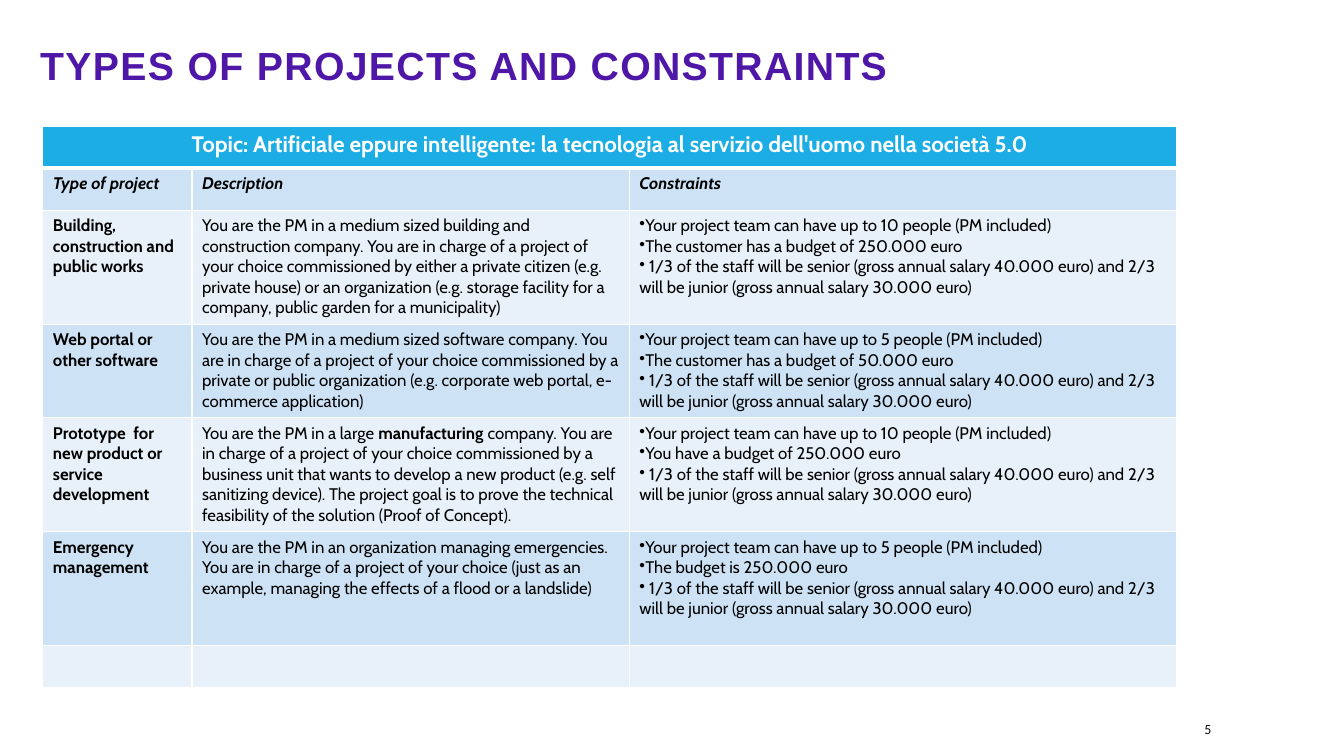
from lxml import etree
from pptx import Presentation
from pptx.dml.color import RGBColor
from pptx.enum.text import MSO_ANCHOR, PP_ALIGN
from pptx.oxml.ns import qn
from pptx.util import Cm, Pt

MIDDLE = MSO_ANCHOR.MIDDLE
LEFT, CENTER = PP_ALIGN.LEFT, PP_ALIGN.CENTER

PURPLE, BLUE, MID_BLUE, PALE_BLUE = "4F17A8", "1CADE4", "CDE3F5", "E8F1FA"
WHITE, BLACK, DARK = "FFFFFF", "000000", "0D0D0D"

COLUMN_WIDTHS = [3.76, 11.02, 13.8]
ROW_HEIGHTS = [1.06, 1.06, 2.87, 2.36, 2.87, 2.87, 1.06]

TOPIC = "Topic: Artificiale eppure intelligente: la tecnologia al servizio dell'uomo nella società 5.0"
HEADINGS = ["Type of project", "Description", "Constraints"]
STAFF = (" 1/3 of the staff will be senior (gross annual salary 40.000 euro) "
         "and 2/3 will be junior (gross annual salary 30.000 euro)")

PROJECTS = [
    ("Building, construction and public works",
     ["You are the PM in a medium sized building and construction company. You are in charge of "
      "a project of your choice commissioned by either a private citizen (e.g. private house) or "
      "an organization (e.g. storage facility for a company, public garden for a municipality)"],
     10, "The customer has a budget of 250.000 euro"),
    ("Web portal or other software",
     ["You are the PM in a medium sized software company. You are in charge of a project of your "
      "choice commissioned by a private or public organization (e.g. corporate web portal, "
      "e-commerce application)"],
     5, "The customer has a budget of 50.000 euro"),
    ("Prototype  for new product or service development",
     ["You are the PM in a large ", "manufacturing ",
      "company. You are in charge of a project of your choice commissioned by a business unit "
      "that wants to develop a new product (e.g. self sanitizing device). The project goal is to "
      "prove the technical feasibility of the solution (Proof of Concept)."],
     10, "You have a budget of 250.000 euro"),
    ("Emergency management",
     ["You are the PM in an organization managing emergencies. You are in charge of a project of "
      "your choice (just as an example, managing the effects of a flood or a landslide)"],
     5, "The budget is 250.000 euro"),
]


def rgb(hex_color):
    return RGBColor.from_string(hex_color)


def add_run(p, text, size=12, font="Cabin", color=BLACK, bold=False, italic=False, spacing=None):
    r = p.add_run()
    r.text = text
    r.font.size = Pt(size)
    r.font.name = font
    r.font.color.rgb = rgb(color)
    r.font.bold = bold
    r.font.italic = italic
    if spacing:
        r.font._element.set("spc", str(spacing * 100))


def write(tf, text, align=LEFT, **style):
    p = tf.paragraphs[0]
    p.alignment = align
    add_run(p, text, **style)
    return p


def write_description(tf, parts):
    for i, part in enumerate(parts):
        add_run(tf.paragraphs[0], part, bold=i % 2 == 1)


def write_bullets(tf, lines):
    for i, line in enumerate(lines):
        p = tf.add_paragraph() if i else tf.paragraphs[0]
        etree.SubElement(p._p.get_or_add_pPr(), qn("a:buChar"), char="•")
        add_run(p, line)


def style_cell(cell, fill, **wide_sides):
    tc_pr = cell._tc.get_or_add_tcPr()
    for side in "LRTB":
        width = wide_sides.get(side, 1)
        ln = etree.SubElement(tc_pr, qn("a:ln" + side), w=str(Pt(width)))
        solid = etree.SubElement(ln, qn("a:solidFill"))
        etree.SubElement(solid, qn("a:srgbClr"), val=WHITE)
    cell.fill.solid()
    cell.fill.fore_color.rgb = rgb(fill)


def add_title(s, text):
    title = s.shapes.title
    title.left, title.top, title.width, title.height = Cm(0.76), Cm(1.12), Cm(30.4), Cm(1.24)
    tf = title.text_frame
    tf.word_wrap = True
    tf.vertical_anchor = MIDDLE
    p = write(tf, text, size=28, font="Arial", color=PURPLE, bold=True, spacing=1)
    p.line_spacing = 0.8


def add_projects_table(s):
    frame = s.shapes.add_table(len(ROW_HEIGHTS), len(COLUMN_WIDTHS), Cm(1.08), Cm(3.18),
                               Cm(sum(COLUMN_WIDTHS)), Cm(sum(ROW_HEIGHTS)))
    table = frame.table
    for column, width in zip(table.columns, COLUMN_WIDTHS):
        column.width = Cm(width)
    for i, (row, height) in enumerate(zip(table.rows, ROW_HEIGHTS)):
        row.height = Cm(height)
        fill = BLUE if i == 0 else MID_BLUE if i % 2 else PALE_BLUE
        wide_sides = {0: {"B": 3}, 1: {"T": 3}}.get(i, {})
        for cell in row.cells:
            style_cell(cell, fill, **wide_sides)

    table.cell(0, 0).merge(table.cell(0, 2))
    write(table.cell(0, 0).text_frame, TOPIC, align=CENTER, size=16, color=WHITE, bold=True)
    for col, heading in enumerate(HEADINGS):
        write(table.cell(1, col).text_frame, heading, bold=True, italic=True)
    for row, (name, description, people, budget) in enumerate(PROJECTS, start=2):
        write(table.cell(row, 0).text_frame, name, bold=True)
        write_description(table.cell(row, 1).text_frame, description)
        team = f"Your project team can have up to {people} people (PM included)"
        write_bullets(table.cell(row, 2).text_frame, [team, budget, STAFF])


def add_page_number(s, number):
    tf = s.shapes.add_textbox(Cm(30.1), Cm(17.98), Cm(2.69), Cm(0.76)).text_frame
    tf.word_wrap = True
    tf.vertical_anchor = MIDDLE
    write(tf, number, size=10, font="Calibri", color=DARK)


def main():
    prs = Presentation()
    prs.slide_width, prs.slide_height = Cm(33.87), Cm(19.05)
    s = prs.slides.add_slide(prs.slide_layouts[5])
    add_title(s, "TYPES OF PROJECTS AND CONSTRAINTS")
    add_projects_table(s)
    add_page_number(s, "5")
    prs.save("out.pptx")


if __name__ == "__main__":
    main()
